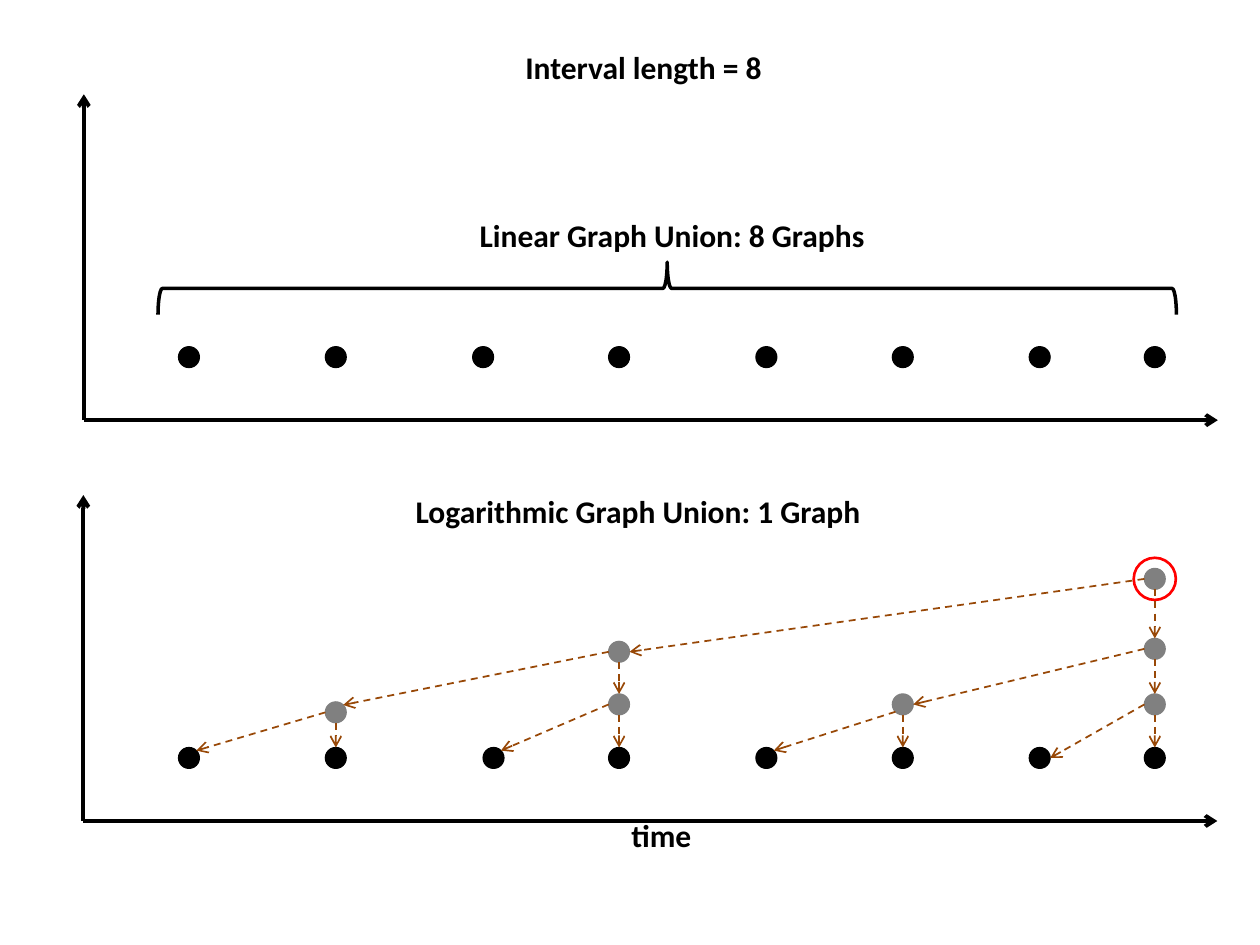
"""Build a slide comparing linear and logarithmic graph unions over time."""
import math
from dataclasses import dataclass

import pptx
import pptx.dml.color
import pptx.enum.dml
import pptx.enum.shapes
import pptx.enum.text
import pptx.oxml
import pptx.oxml.ns
import pptx.util
from pptx.util import Cm

COLORS = {"black": "000000", "gray": "808080", "red": "FF0000", "brown": "984807"}
SHAPE = pptx.enum.shapes.MSO_SHAPE
DOT = 0.42
LEFT, RIGHT, UPPER_RIGHT, LOWER_LEFT, TOP, BOTTOM = 180, 0, -45, 135, -90, 90


@dataclass(frozen=True)
class Node:
    x: float
    y: float
    color: str = "black"

    def edge(self, angle: float) -> tuple[float, float]:
        a = math.radians(angle)
        return self.x + DOT / 2 * math.cos(a), self.y + DOT / 2 * math.sin(a)


@dataclass(frozen=True)
class Union:
    parent: str
    earlier: str
    later: str
    start: float = LEFT
    end: float = UPPER_RIGHT


def rgb(name: str) -> pptx.dml.color.RGBColor:
    return pptx.dml.color.RGBColor.from_string(COLORS[name])


def add_shape(kind, x, y, w, h, *, line="black", width=0.75, fill=None):
    sp = s.shapes.add_shape(kind, Cm(x), Cm(y), Cm(w), Cm(h))
    sp.shadow.inherit = False
    if fill:
        sp.fill.solid()
        sp.fill.fore_color.rgb = rgb(fill)
    else:
        sp.fill.background()
    sp.line.color.rgb = rgb(line)
    sp.line.width = pptx.util.Pt(width)
    return sp


def add_circle(node: Node, size: float = DOT, **fmt):
    return add_shape(SHAPE.OVAL, node.x - size / 2, node.y - size / 2, size, size, **fmt)


def add_arrow(start, end, *, color="black", width=2.25, dashed=False) -> None:
    points = [Cm(v) for v in (*start, *end)]
    c = s.shapes.add_connector(pptx.enum.shapes.MSO_CONNECTOR.STRAIGHT, *points)
    c.line.color.rgb = rgb(color)
    c.line.width = pptx.util.Pt(width)
    if dashed:
        c.line.dash_style = pptx.enum.dml.MSO_LINE.DASH
    ns = pptx.oxml.ns.nsdecls("a")
    c.line._get_or_add_ln().append(pptx.oxml.parse_xml(f'<a:tailEnd {ns} type="arrow"/>'))
    c._element.spPr.append(pptx.oxml.parse_xml(f"<a:effectLst {ns}/>"))


def add_label(text: str, *, x, y, w, h=1.02, size=18, color="black") -> None:
    tf = s.shapes.add_textbox(Cm(x), Cm(y), Cm(w), Cm(h)).text_frame
    tf.word_wrap = False
    tf.auto_size = pptx.enum.text.MSO_AUTO_SIZE.SHAPE_TO_FIT_TEXT
    p = tf.paragraphs[0]
    r = p.add_run()
    r.text = text
    r.font.name, r.font.size, r.font.bold = "Calibri", pptx.util.Pt(size), True
    r.font.color.rgb = rgb(color)


def add_axes(x: float, y: float, width: float = 22.86, height: float = 6.57) -> None:
    add_arrow((x, y), (x + width, y))
    add_arrow((x, y), (x, y - height))


prs = pptx.Presentation()
prs.slide_width, prs.slide_height = Cm(25.4), Cm(19.05)
s = prs.slides.add_slide(prs.slide_layouts[6])

add_axes(1.69, 8.47)
add_axes(1.68, 16.55)

TIMES = [3.81, 6.77, 9.74, 12.48, 15.45, 18.2, 20.96, 23.28]
for x in TIMES:
    add_circle(Node(x, 7.2), fill="black")
brace = add_shape(SHAPE.LEFT_BRACE, 12.92, -4.45, 1.06, 20.53, width=2)
brace.rotation = 90

nodes = {f"t{i}": Node(x, 15.28) for i, x in enumerate(TIMES, 1)}
nodes |= {
    "t3": Node(9.95, 15.28),
    "t1-2": Node(TIMES[1], 14.36, "gray"),
    "t3-4": Node(TIMES[3], 14.2, "gray"),
    "t5-6": Node(TIMES[5], 14.2, "gray"),
    "t7-8": Node(TIMES[7], 14.2, "gray"),
    "t1-4": Node(TIMES[3], 13.14, "gray"),
    "t5-8": Node(TIMES[7], 13.08, "gray"),
    "t1-8": Node(TIMES[7], 11.67, "gray"),
}
for node in nodes.values():
    add_circle(node, fill=node.color, line=node.color)
add_circle(nodes["t1-8"], 0.85, line="red", width=1.5)

UNIONS = [
    Union("t1-2", "t1", "t2"),
    Union("t3-4", "t3", "t4"),
    Union("t5-6", "t5", "t6", start=LOWER_LEFT),
    Union("t7-8", "t7", "t8", end=RIGHT),
    Union("t1-4", "t1-2", "t3-4"),
    Union("t5-8", "t5-6", "t7-8", end=RIGHT),
    Union("t1-8", "t1-4", "t5-8", end=RIGHT),
]
for u in UNIONS:
    parent = nodes[u.parent]
    for start, child, end in ((u.start, u.earlier, u.end), (BOTTOM, u.later, TOP)):
        add_arrow(parent.edge(start), nodes[child].edge(end), color="brown", width=1, dashed=True)

add_label("Interval length = 8", x=10.34, y=0.85, w=5.33)
add_label("Linear Graph Union: 8 Graphs", x=9.42, y=4.23, w=8.36)
add_label("Logarithmic Graph Union: 1 Graph", x=8.13, y=9.79, w=9.86)
add_label("time", x=12.48, y=16.33, w=1.73)

prs.save("out.pptx")
